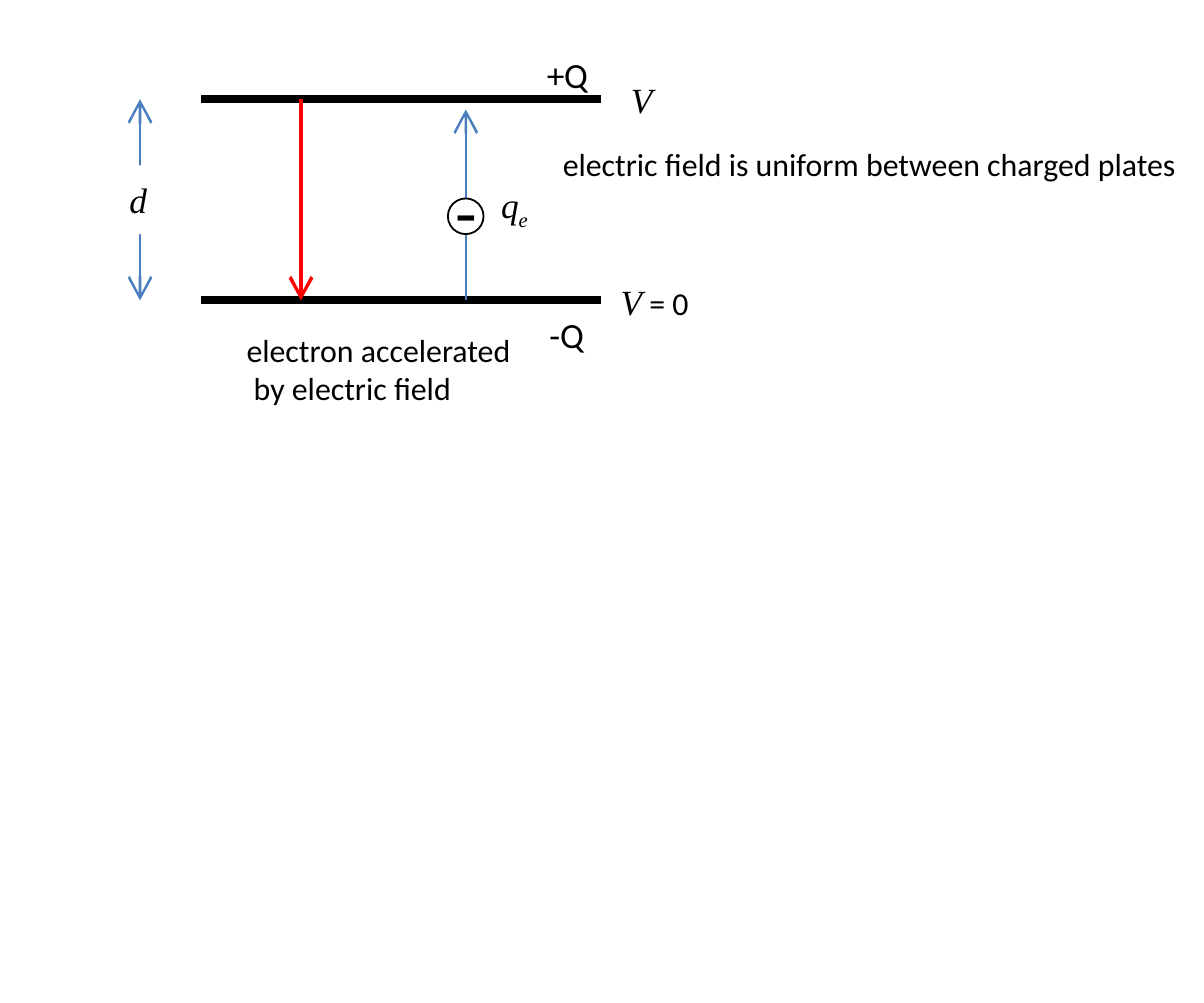
from pptx import Presentation
from pptx.dml.color import RGBColor
from pptx.enum import shapes, text
from pptx.oxml import ns
from pptx.util import Inches, Pt
from lxml import etree

BLACK = RGBColor(0x00, 0x00, 0x00)
WHITE = RGBColor(0xFF, 0xFF, 0xFF)
BLUE = RGBColor(0x4B, 0x7E, 0xBC)
RED = RGBColor(0xFF, 0x00, 0x00)
SANS = "Calibri"
SERIF = "Times New Roman"

# Run styles: font, size, italic, baseline shift
SYMBOL = (SERIF, 10, True, 0)
SUBSCRIPT = (SERIF, 10, True, -25000)
CHARGE = (SANS, 10, False, 0)
NOTE = (SANS, 9, False, 0)
SIGN = (SANS, 20, False, 0)


def add_line(parent, start, end, color, weight, arrows=()):
    """Draw a line; arrows may name headEnd (start) and tailEnd (end)."""
    line = parent.add_connector(
        shapes.MSO_CONNECTOR.STRAIGHT, *map(Inches, start + end))
    line.line.color.rgb = color
    line.line.width = Pt(weight)
    outline = line.line._get_or_add_ln()
    for arrow in arrows:
        etree.SubElement(outline, ns.qn(f"a:{arrow}"), type="arrow")
    etree.SubElement(line._element.spPr, ns.qn("a:effectLst"))


def add_label(parent, left, top, width, height, *lines):
    """Place text; each line is a list of (wording, style) pairs."""
    box = parent.add_textbox(*map(Inches, (left, top, width, height)))
    frame = box.text_frame
    frame.word_wrap = False
    frame.auto_size = text.MSO_AUTO_SIZE.SHAPE_TO_FIT_TEXT
    for index, pieces in enumerate(lines):
        para = frame.add_paragraph() if index else frame.paragraphs[0]
        for wording, (font, size, italic, baseline) in pieces:
            span = para.add_run()
            span.text = wording
            span.font.name = font
            span.font.size = Pt(size)
            span.font.italic = italic
            span.font.color.rgb = BLACK
            if baseline:
                span.font._element.set("baseline", str(baseline))
    return box


def add_plates(page, left, top, width, height):
    """Draw both charged plates with their charges and potentials."""
    right, bottom = left + width, top + height
    for level in (top, bottom):
        add_line(page.shapes, (left, level), (right, level), BLACK, 2.25)
    add_label(page.shapes, right - 0.02, bottom - 0.13, 0.47, 0.27,
              [("V", SYMBOL), (" = 0", NOTE)])
    add_label(page.shapes, right + 0.02, top - 0.13, 0.29, 0.27, [("V", SYMBOL)])
    add_label(page.shapes, right - 0.31, top - 0.23, 0.37, 0.27, [("+Q", CHARGE)])
    add_label(page.shapes, right - 0.3, bottom, 0.34, 0.27, [("-Q", CHARGE)])


def add_separation(page, center, top, height):
    """Draw the double arrow for the plate distance d."""
    add_line(page.shapes, (center, top), (center, top + height), BLUE, 0.75,
             ("headEnd", "tailEnd"))
    label = add_label(page.shapes, center - 0.14, top + 0.26, 0.28, 0.27,
                      [("d", SYMBOL)])
    label.fill.solid()
    label.fill.fore_color.rgb = WHITE


def add_field(page, left, top, height):
    add_line(page.shapes, (left, top), (left, top + height), RED, 1, ("tailEnd",))
    add_label(page.shapes, left + 0.93, top + 0.13, 2.69, 0.25,
              [("electric field is uniform between charged plates", NOTE)])


def add_electron(page, center, top, height):
    """Draw the electron, its upward path and its caption."""
    bottom = top + height
    add_line(page.shapes, (center, bottom), (center, top + 0.04), BLUE, 0.75,
             ("tailEnd",))
    electron = page.shapes.add_group_shape().shapes
    circle = electron.add_shape(
        shapes.MSO_SHAPE.OVAL,
        *map(Inches, (center - 0.07, top + 0.39, 0.14, 0.14)))
    circle.shadow.inherit = False
    circle.fill.solid()
    circle.fill.fore_color.rgb = WHITE
    circle.line.color.rgb = BLACK
    circle.line.width = Pt(0.5)
    add_label(electron, center - 0.14, top + 0.22, 0.29, 0.44, [("-", SIGN)])
    add_label(page.shapes, center + 0.04, top + 0.28, 0.31, 0.27,
              [("q", SYMBOL), ("e", SUBSCRIPT)])
    add_label(page.shapes, center - 0.96, bottom + 0.07, 1.25, 0.4,
              [("electron accelerated", NOTE)], [(" by electric field", NOTE)])


def main():
    deck = Presentation()
    deck.slide_width, deck.slide_height = Inches(4.73), Inches(3.94)
    page = deck.slides.add_slide(deck.slide_layouts[6])
    left, top, width, height = 0.79, 0.39, 1.57, 0.79
    add_plates(page, left, top, width, height)
    add_separation(page, left - 0.24, top, height)
    add_field(page, left + width / 4, top, height)
    add_electron(page, left + 1.04, top, height)
    deck.save("out.pptx")


if __name__ == "__main__":
    main()
